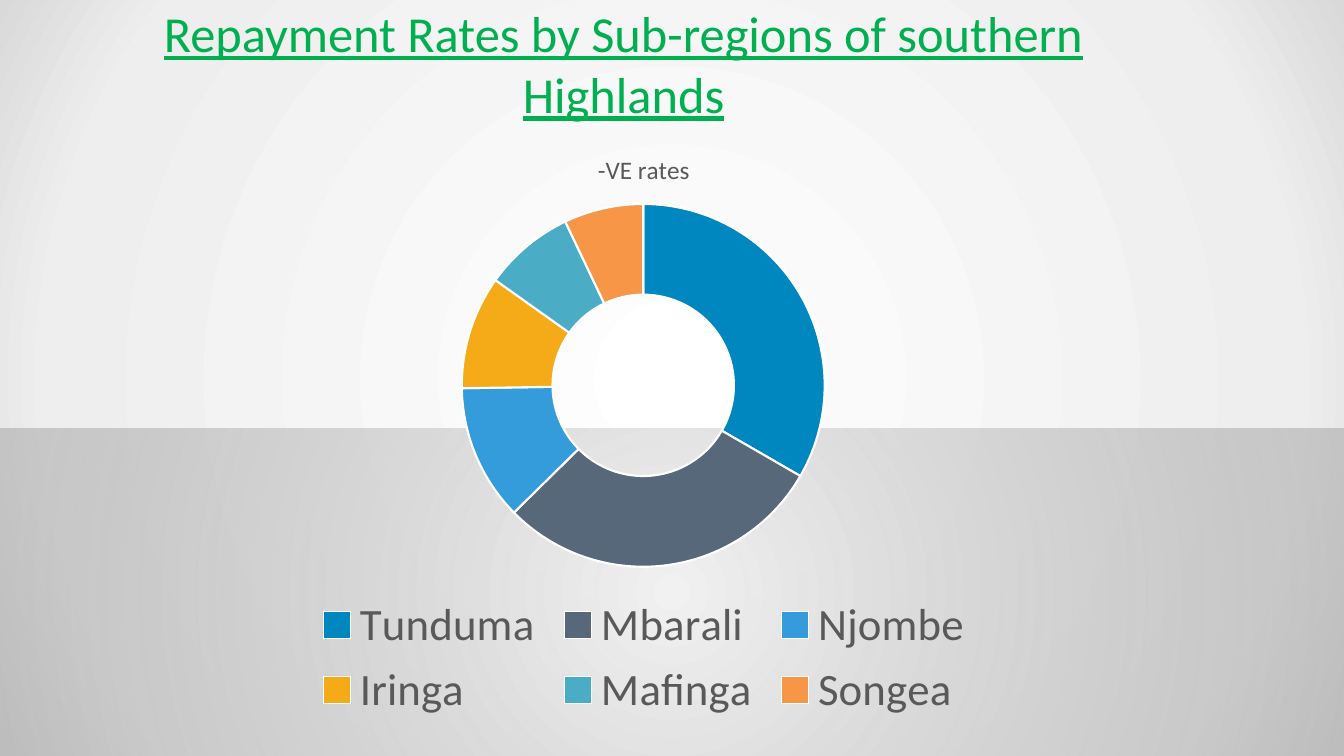
from lxml import etree
from pptx import Presentation
from pptx.chart.data import CategoryChartData
from pptx.dml.color import RGBColor
from pptx.enum.chart import XL_CHART_TYPE, XL_LEGEND_POSITION
from pptx.enum.shapes import MSO_SHAPE
from pptx.enum.text import MSO_ANCHOR, PP_ALIGN
from pptx.oxml import parse_xml
from pptx.oxml.ns import nsdecls, qn
from pptx.util import Inches, Pt

DOUGHNUT = XL_CHART_TYPE.DOUGHNUT
BOTTOM = XL_LEGEND_POSITION.BOTTOM
RECTANGLE = MSO_SHAPE.RECTANGLE
MIDDLE = MSO_ANCHOR.MIDDLE
CENTER = PP_ALIGN.CENTER

FONT = "Calibri"
TITLE_ONLY = 5
COLORS = {
    "title": "00B050",
    "chart text": "595959",
    "border": "FFFFFF",
    "Tunduma": "0187C0",
    "Mbarali": "57687B",
    "Njombe": "359CDB",
    "Iringa": "F4AB17",
    "Mafinga": "4BACC6",
    "Songea": "F79646",
}
BACKDROP_STOPS = [(0, "FFFFFF", 100), (81, "EEEEEE", 100), (100, "D9D9D9", 100)]
FLOOR_STOPS = [(0, "F2F2F2", 100), (100, "A6A6A6", 53)]
RATES = {"Tunduma": 33, "Mbarali": 29, "Njombe": 12,
         "Iringa": 10, "Mafinga": 8, "Songea": 7}
RING_LAYOUT = {"x": 0.297, "y": 0.124, "w": 0.405, "h": 0.608}


def rgb(name):
    return RGBColor.from_string(COLORS[name])


def style_font(font, size, color):
    font.name = FONT
    font.size = Pt(size)
    font.bold = False
    font.color.rgb = rgb(color)


def set_radial_fill(fill, properties, stops):
    """Fill from the centre outwards; stops are (position, colour, opacity) in percent."""
    fill.solid()
    stop_xml = "".join(
        f'<a:gs pos="{position * 1000}"><a:srgbClr val="{color}">'
        f'<a:alpha val="{opacity * 1000}"/></a:srgbClr></a:gs>'
        for position, color, opacity in stops)
    gradient = parse_xml(
        f'<a:gradFill {nsdecls("a")} rotWithShape="1"><a:gsLst>{stop_xml}</a:gsLst>'
        '<a:path path="circle"><a:fillToRect l="50000" t="50000" r="50000" b="50000"/>'
        '</a:path></a:gradFill>')
    properties.replace(properties.find(qn("a:solidFill")), gradient)


def add_backdrop(slide):
    fill = slide.background.fill
    background = slide.element.find(f'.//{qn("p:bgPr")}')
    set_radial_fill(fill, background, BACKDROP_STOPS)


def add_floor(slide):
    floor = slide.shapes.add_shape(
        RECTANGLE, Inches(0), Inches(4.25), Inches(13.33), Inches(3.25))
    floor.shadow.inherit = False
    floor.line.fill.background()
    set_radial_fill(floor.fill, floor.element.spPr, FLOOR_STOPS)
    slide.shapes.element.insert(2, floor.element)  # behind the title


def set_title(slide, text):
    title = slide.shapes.title
    title.left, title.top = Inches(0.52), Inches(0.29)
    title.width, title.height = Inches(11.33), Inches(0.67)
    frame = title.text_frame
    frame.text = text
    frame.word_wrap = True
    frame.vertical_anchor = MIDDLE
    frame.margin_left = frame.margin_right = Inches(0.13)
    frame.margin_top = frame.margin_bottom = Inches(0.07)
    heading = frame.paragraphs[0]
    heading.alignment = CENTER
    font = heading.runs[0].font
    style_font(font, 36, "title")
    font.underline = True


def place_ring(chart):
    """Fix the plot area and hole size of the doughnut."""
    plot_area = chart.element.find(f'.//{qn("c:plotArea")}')
    for layout in plot_area.findall(qn("c:layout")):
        plot_area.remove(layout)
    layout = etree.Element(qn("c:layout"))
    manual = etree.SubElement(layout, qn("c:manualLayout"))
    settings = {"layoutTarget": "inner", "xMode": "edge", "yMode": "edge", **RING_LAYOUT}
    for tag, value in settings.items():
        etree.SubElement(manual, qn(f"c:{tag}")).set("val", str(value))
    plot_area.insert(0, layout)
    plot_area.find(f'.//{qn("c:holeSize")}').set("val", "75")


def add_rates_chart(slide):
    data = CategoryChartData()
    data.categories = list(RATES)
    data.add_series("Series 1", list(RATES.values()))
    chart = slide.shapes.add_chart(
        DOUGHNUT, Inches(1.94), Inches(1.29), Inches(8.89), Inches(5.92), data).chart
    style_font(chart.font, 10, "chart text")

    chart.has_title = True
    chart.chart_title.include_in_layout = False
    caption = chart.chart_title.text_frame
    caption.text = "-VE rates"
    style_font(caption.paragraphs[0].runs[0].font, 18, "chart text")

    chart.has_legend = True
    chart.legend.position = BOTTOM
    chart.legend.include_in_layout = False
    style_font(chart.legend.font, 32, "chart text")

    plot = chart.plots[0]
    plot.vary_by_categories = True
    for index, town in enumerate(RATES):
        slice_format = plot.series[0].points[index].format
        slice_format.fill.solid()
        slice_format.fill.fore_color.rgb = rgb(town)
        slice_format.line.color.rgb = rgb("border")
        slice_format.line.width = Pt(1.5)
    place_ring(chart)


def main():
    deck = Presentation()
    deck.slide_width, deck.slide_height = Inches(13.33), Inches(7.5)
    slide = deck.slides.add_slide(deck.slide_layouts[TITLE_ONLY])
    add_backdrop(slide)
    add_floor(slide)
    set_title(slide, "Repayment Rates by Sub-regions of southern Highlands")
    add_rates_chart(slide)
    deck.save("out.pptx")


if __name__ == "__main__":
    main()
